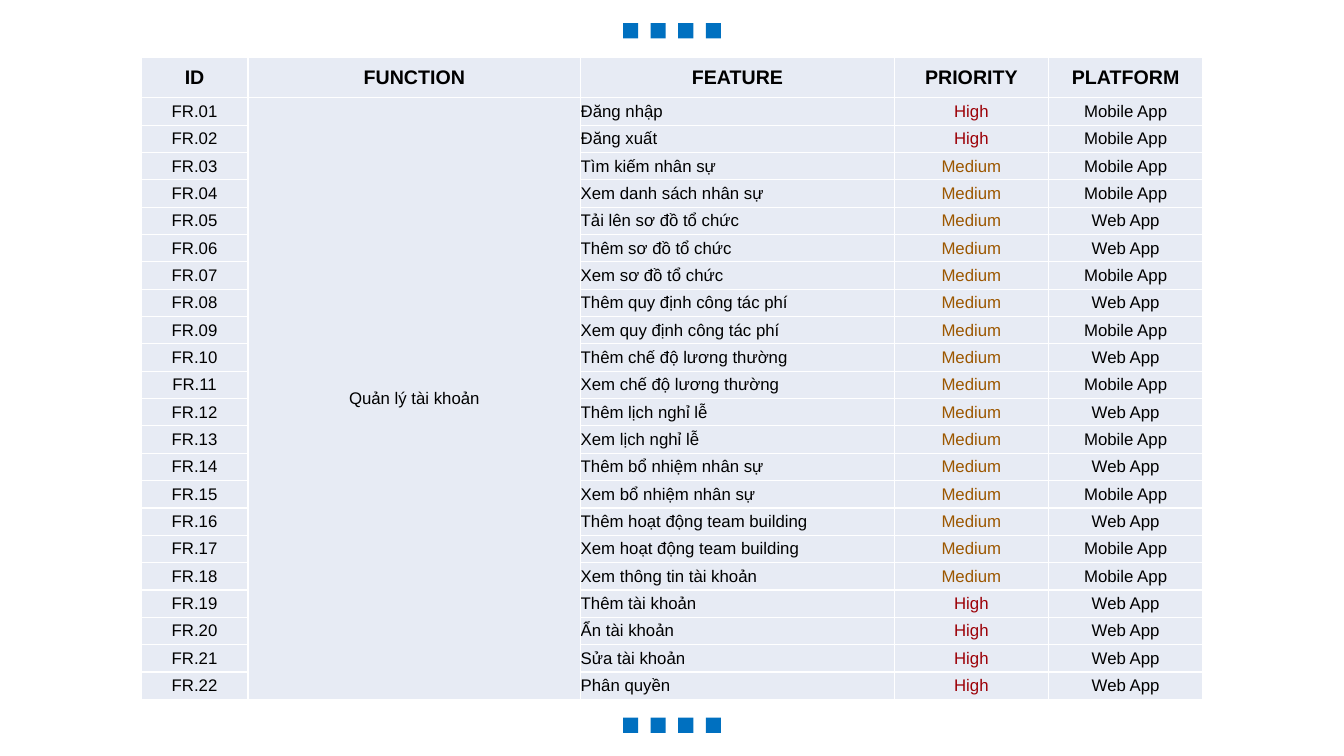
from lxml import etree
from pptx import Presentation
from pptx.dml.color import RGBColor
from pptx.enum.shapes import MSO_SHAPE
from pptx.enum.text import MSO_ANCHOR, PP_ALIGN
from pptx.oxml.ns import qn
from pptx.util import Inches, Pt

RECT = MSO_SHAPE.RECTANGLE
MIDDLE = MSO_ANCHOR.MIDDLE
LEFT, CENTER = PP_ALIGN.LEFT, PP_ALIGN.CENTER
FONT = "Arial"
COLORS = {
    "dot": "0070C0",
    "cell": "E7EBF4",
    "edge": "FFFFFF",
    "text": "000000",
    "High": "9C0006",
    "Medium": "9C5700",
}
HEADS = ["ID", "FUNCTION", "FEATURE", "PRIORITY", "PLATFORM"]
WIDTHS = [1.06, 3.3, 3.11, 1.53, 1.53]
GROUP = "Quản lý tài khoản"
MOBILE, WEB = "Mobile App", "Web App"
ITEMS = [
    ("Đăng nhập", "High", MOBILE),
    ("Đăng xuất", "High", MOBILE),
    ("Tìm kiếm nhân sự", "Medium", MOBILE),
    ("Xem danh sách nhân sự", "Medium", MOBILE),
    ("Tải lên sơ đồ tổ chức", "Medium", WEB),
    ("Thêm sơ đồ tổ chức", "Medium", WEB),
    ("Xem sơ đồ tổ chức", "Medium", MOBILE),
    ("Thêm quy định công tác phí", "Medium", WEB),
    ("Xem quy định công tác phí", "Medium", MOBILE),
    ("Thêm chế độ lương thường", "Medium", WEB),
    ("Xem chế độ lương thường", "Medium", MOBILE),
    ("Thêm lịch nghỉ lễ", "Medium", WEB),
    ("Xem lịch nghỉ lễ", "Medium", MOBILE),
    ("Thêm bổ nhiệm nhân sự", "Medium", WEB),
    ("Xem bổ nhiệm nhân sự", "Medium", MOBILE),
    ("Thêm hoạt động team building", "Medium", WEB),
    ("Xem hoạt động team building", "Medium", MOBILE),
    ("Xem thông tin tài khoản", "Medium", MOBILE),
    ("Thêm tài khoản", "High", WEB),
    ("Ẩn tài khoản", "High", WEB),
    ("Sửa tài khoản", "High", WEB),
    ("Phân quyền", "High", WEB),
]


def color(key):
    return RGBColor.from_string(COLORS[key])


def add_dots(slide, left, top, width, size, count=4):
    step = (width - size) / (count - 1)
    for i in range(count):
        dot = slide.shapes.add_shape(
            RECT, Inches(left + i * step), Inches(top), Inches(size), Inches(size))
        dot.shadow.inherit = False
        dot.fill.solid()
        dot.fill.fore_color.rgb = color("dot")
        dot.line.fill.background()


def style_cell(cell):
    cell.margin_left = cell.margin_right = 0
    cell.margin_top = cell.margin_bottom = 0
    cell.vertical_anchor = MIDDLE
    props = cell._tc.get_or_add_tcPr()
    for side in ("lnL", "lnR", "lnT", "lnB"):
        line = etree.SubElement(props, qn("a:" + side), w=str(Pt(1)))
        fill = etree.SubElement(line, qn("a:solidFill"))
        etree.SubElement(fill, qn("a:srgbClr"), val=COLORS["edge"])
    cell.fill.solid()
    cell.fill.fore_color.rgb = color("cell")


def write_cell(cell, text, size, bold, align):
    para = cell.text_frame.paragraphs[0]
    para.alignment = align
    run = para.add_run()
    run.text = text
    run.font.name = FONT
    run.font.size = Pt(size)
    run.font.bold = bold
    run.font.color.rgb = color(text if text in COLORS else "text")


def add_grid(slide, left, top, width, height, head=0.4):
    rows = [HEADS]
    for i, (feature, level, platform) in enumerate(ITEMS, 1):
        group = GROUP if i == 1 else ""
        rows.append([f"FR.{i:02}", group, feature, level, platform])
    table = slide.shapes.add_table(
        len(rows), len(HEADS), Inches(left), Inches(top),
        Inches(width), Inches(height)).table
    table.first_row = False
    table.horz_banding = False
    for col, size in zip(table.columns, WIDTHS):
        col.width = Inches(size)
    table.cell(1, 1).merge(table.cell(len(ITEMS), 1))
    for r, row in enumerate(rows):
        first = r == 0
        table.rows[r].height = Inches(head if first else (height - head) / len(ITEMS))
        for c, text in enumerate(row):
            cell = table.cell(r, c)
            style_cell(cell)
            if text:
                align = LEFT if c == 2 and not first else CENTER
                write_cell(cell, text, 14 if first else 12, first, align)


def main():
    deck = Presentation()
    deck.slide_width = Inches(13.33)
    deck.slide_height = Inches(7.5)
    slide = deck.slides.add_slide(deck.slide_layouts[6])
    for top in (0.23, 7.12):
        add_dots(slide, 6.18, top, 0.97, 0.15)
    add_grid(slide, 1.4, 0.57, 10.53, 6.37)
    deck.save("out.pptx")


if __name__ == "__main__":
    main()
